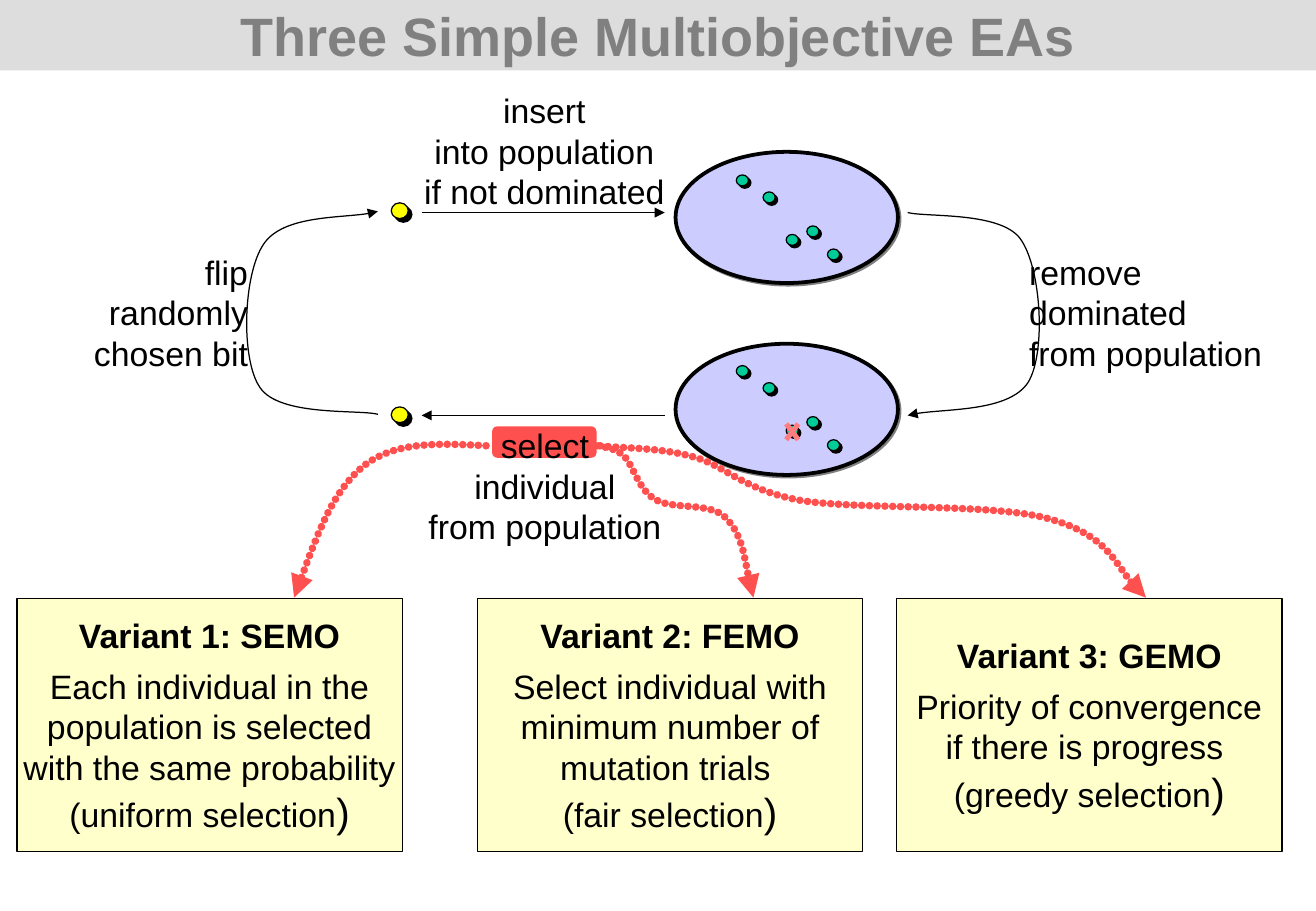
from lxml import etree
from pptx import Presentation
from pptx import util as u
from pptx.dml.color import RGBColor
from pptx.enum import shapes, text
from pptx.oxml.ns import qn

SIZE = (1083, 750)
COLORS = {
    "black": "000000", "gray": "808080", "band": "DDDDDD", "red": "FF5050",
    "pink": "FF7C80", "lilac": "CCCCFF", "green": "00CC99",
    "yellow": "FFFF00", "cream": "FFFFCC",
}
TITLE = "Three Simple Multiobjective EAs"
BAND = (0, 0, 1083, 58)
TAG = (405, 351, 86, 26)
POOLS = [(556, 125, 183, 108), (556, 283, 183, 108)]
STARTS = [(606, 301), (606, 144)]
DOTS = [(0, 0), (22, 14), (41, 49), (58, 42), (75, 61)]
CROSS = [(647, 349, 657, 362), (657, 349, 647, 362)]
CHILDREN = [(322, 335), (322, 167)]
ARROWS = [(547, 342, 347, 342), (347, 175, 547, 175)]
LOOPS = [
    [(747, 175), (763, 179), (824, 174), (840, 197), (857, 221),
     (861, 291), (846, 315), (830, 339), (768, 336), (747, 342)],
    [(311, 341), (295, 337), (230, 343), (214, 319), (198, 296),
     (200, 226), (217, 201), (233, 177), (292, 180), (311, 174)],
]
LINKS = [
    [(400, 367), (363, 365), (326, 363), (300, 383), (274, 404),
     (258, 448), (242, 492)],
    [(492, 367), (495, 368), (505, 368), (513, 375), (521, 382),
     (525, 403), (539, 411), (553, 420), (584, 413), (597, 426),
     (611, 440), (616, 478), (620, 492)],
    [(494, 367), (507, 369), (542, 368), (570, 376), (597, 383),
     (610, 403), (659, 412), (708, 420), (816, 414), (863, 427),
     (910, 440), (926, 479), (943, 492)],
]
STEPS = [
    ("select\nindividual\nfrom population", (332, 345, 233, 110), "CENTER"),
    ("insert\ninto population\nif not dominated", (329, 69, 238, 110), "CENTER"),
    ("remove\ndominated\nfrom population", (837, 202, 233, 110), "LEFT"),
    ("flip\nrandomly\nchosen bit", (59, 202, 155, 110), "RIGHT"),
]
VARIANTS = [
    (14, "Variant 1: SEMO", "Each individual in the\npopulation is selected\n"
     "with the same probability\n(uniform selection"),
    (393, "Variant 2: FEMO", "Select individual with\nminimum number of\n"
     "mutation trials \n(fair selection"),
    (738, "Variant 3: GEMO", "Priority of convergence\nif there is progress \n"
     "(greedy selection"),
]


def px(n):
    return u.Emu(n * 9144)


def rgb(name):
    return RGBColor.from_string(COLORS[name])


def write(para, words, size=20, color="black", bold=False, align="CENTER"):
    para.alignment = getattr(text.PP_ALIGN, align)
    for i, part in enumerate(words.split("\n")):
        if i:
            para.add_line_break()
        run = para.add_run()
        run.text = part
        font = run.font
        font.name, font.size, font.bold = "Arial", u.Pt(size), bold
        font.color.rgb = rgb(color)


def stroke(item, color="black", width=0.75, tip=False, dots=False):
    item.line.color.rgb = rgb(color)
    item.line.width = u.Pt(width)
    ln = item._element.spPr.find(qn("a:ln"))
    if dots:
        ln.set("cap", "rnd")
        dash = etree.SubElement(ln, qn("a:custDash"))
        etree.SubElement(dash, qn("a:ds"), d="100000", sp="2000")
        etree.SubElement(ln, qn("a:round"))
    if tip:
        etree.SubElement(ln, qn("a:tailEnd")).set("type", "triangle")


def block(host, kind, box, fill, width=0.75):
    item = host.add_shape(getattr(shapes.MSO_SHAPE, kind), *map(px, box))
    item.shadow.inherit = False
    item.fill.solid()
    item.fill.fore_color.rgb = rgb(fill)
    if width:
        stroke(item, width=width)
    else:
        item.line.fill.background()
    return item


def ball(x, y, w, h, fill, shift):
    host = page.add_group_shape().shapes
    block(host, "OVAL", (x + shift, y + shift, w, h), "black")
    block(host, "OVAL", (x, y, w, h), fill)


def line(host, ends, **style):
    item = host.add_connector(shapes.MSO_CONNECTOR.STRAIGHT, *map(px, ends))
    stroke(item, **style)
    etree.SubElement(item._element.spPr, qn("a:effectLst"))


def curve(nodes, **style):
    pts = [tuple(map(px, node)) for node in nodes]
    form = page.build_freeform(*pts[0])
    form.add_line_segments(pts[1:], close=False)
    item = form.convert_to_shape()
    route = item._element.spPr.find(".//" + qn("a:path"))
    legs = route.findall(qn("a:lnTo"))
    for i in range(0, len(legs), 3):
        bend = etree.SubElement(route, qn("a:cubicBezTo"))
        for leg in legs[i:i + 3]:
            bend.append(leg[0])
            route.remove(leg)
    item.shadow.inherit = False
    item.fill.background()
    stroke(item, tip=True, **style)


def pool(box):
    item = block(page, "OVAL", box, "lilac", 2.25)
    glow = item._element.spPr.find(qn("a:effectLst"))
    shade = etree.SubElement(glow, qn("a:outerShdw"), dist="17780",
                             dir="2700000", algn="ctr", rotWithShape="0")
    etree.SubElement(shade, qn("a:srgbClr"), val=COLORS["gray"])


def step(words, box, align):
    frame = page.add_textbox(*map(px, box)).text_frame
    frame.word_wrap = False
    frame.auto_size = text.MSO_AUTO_SIZE.SHAPE_TO_FIT_TEXT
    write(frame.paragraphs[0], words, align=align)


def variant(left, head, body):
    box = (left, 493, 317, 208)
    frame = block(page, "RECTANGLE", box, "cream").text_frame
    frame.word_wrap = False
    frame.vertical_anchor = text.MSO_ANCHOR.MIDDLE
    write(frame.paragraphs[0], head, bold=True)
    para = frame.add_paragraph()
    para.space_before = u.Pt(6)
    write(para, body)
    write(para, ")", size=24)


deck = Presentation()
deck.slide_width, deck.slide_height = map(px, SIZE)
slide = deck.slides.add_slide(deck.slide_layouts[5])
page = slide.shapes

block(page, "RECTANGLE", BAND, "band", 0)
block(page, "ROUNDED_RECTANGLE", TAG, "red", 0)

title = page.title
page._spTree.append(title._element)
title.left, title.top, title.width, title.height = map(px, BAND)
title.text_frame.auto_size = text.MSO_AUTO_SIZE.NONE
title.text_frame.vertical_anchor = text.MSO_ANCHOR.MIDDLE
write(title.text_frame.paragraphs[0], TITLE, size=32, color="gray", bold=True)

for box in POOLS:
    pool(box)
for left, top in STARTS:
    for x, y in DOTS:
        ball(left + x, top + y, 10, 9, "green", 2)
cross = page.add_group_shape().shapes
for ends in CROSS:
    line(cross, ends, color="pink", width=3)
for x, y in CHILDREN:
    ball(x, y, 14, 13, "yellow", 3)
for ends in ARROWS:
    line(page, ends, tip=True)
for nodes in LOOPS:
    curve(nodes)
for row in STEPS:
    step(*row)
for row in VARIANTS:
    variant(*row)
for nodes in LINKS:
    curve(nodes, color="red", width=4.5, dots=True)

deck.save("out.pptx")
